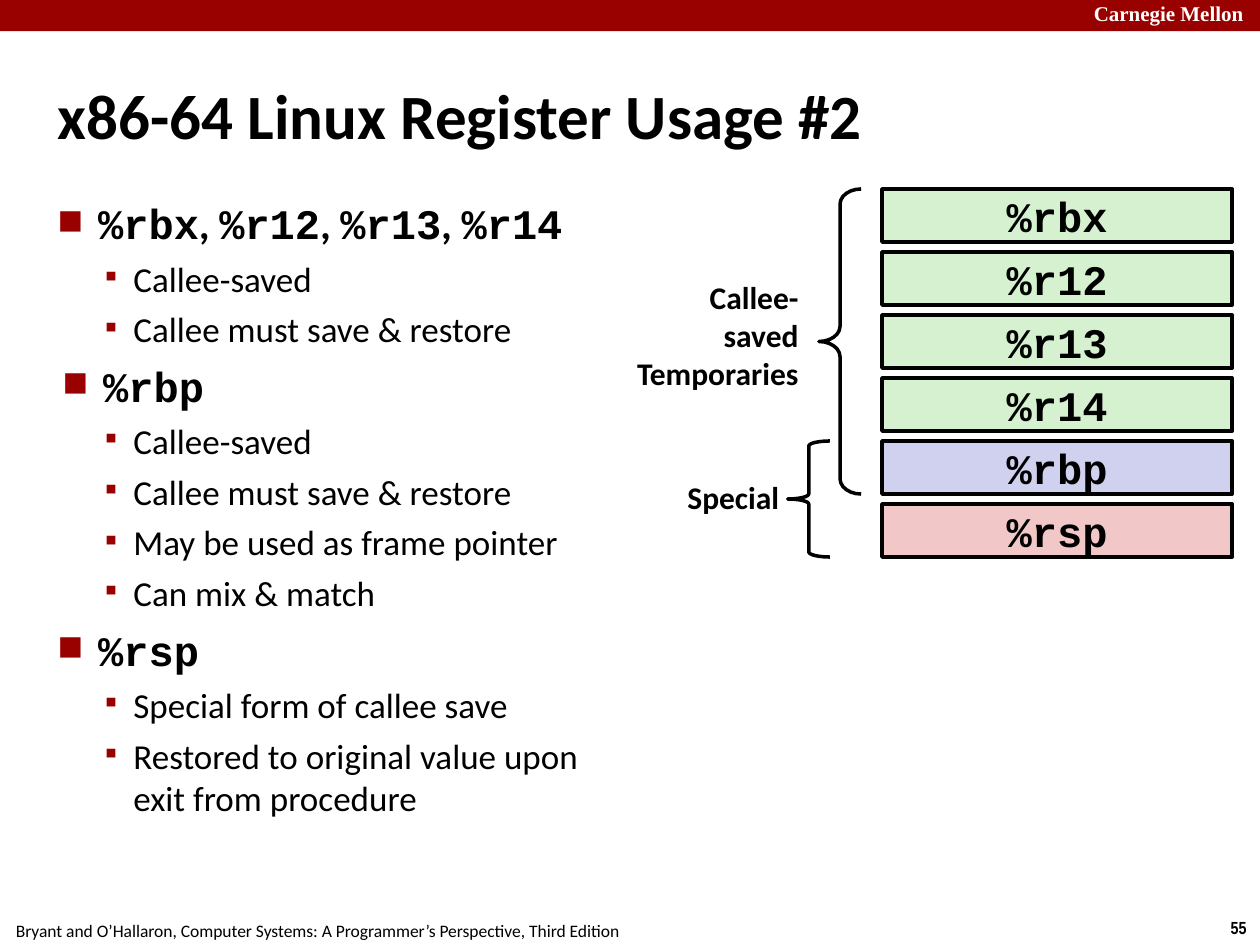
from lxml.etree import SubElement
from pptx import Presentation
from pptx.dml.color import RGBColor
from pptx.enum.shapes import MSO_SHAPE
from pptx.enum.text import MSO_ANCHOR, PP_ALIGN
from pptx.oxml.ns import qn
from pptx.util import Cm, Pt

COLORS = {
    "black": "000000",
    "white": "FFFFFF",
    "crimson": "990000",
    "green": "D5F1CF",
    "blue": "D0D0EF",
    "red": "F1C7C7",
}
CODE, BODY = "Courier New", "Calibri"

REGISTERS = [
    ("%rbx", "green"),
    ("%r12", "green"),
    ("%r13", "green"),
    ("%r14", "green"),
    ("%rbp", "blue"),
    ("%rsp", "red"),
]

# Register names, left margin of the heading in cm, points below it
TOPICS = [
    (["%rbx", "%r12", "%r13", "%r14"], 0.81,
     ["Callee-saved", "Callee must save & restore"]),
    (["%rbp"], 0.91,
     ["Callee-saved", "Callee must save & restore",
      "May be used as frame pointer", "Can mix & match"]),
    (["%rsp"], 0.81,
     ["Special form of callee save",
      "Restored to original value upon exit from procedure"]),
]


def rgb(name):
    return RGBColor.from_string(COLORS[name])


def style(font, size, face=BODY, bold=False, color="black"):
    font.size = Pt(size)
    font.name = face
    font.bold = bold
    font.color.rgb = rgb(color)


def set_insets(tf, horizontal, vertical):
    tf.margin_left = tf.margin_right = Cm(horizontal)
    tf.margin_top = tf.margin_bottom = Cm(vertical)


def add_text(slide, box, text, size, face=BODY, bold=True, color="black",
             align=PP_ALIGN.LEFT, insets=(0.1, 0.1), wrap=False):
    """Add a text box with one paragraph per line of text."""
    tf = slide.shapes.add_textbox(*map(Cm, box)).text_frame
    tf.word_wrap = wrap
    set_insets(tf, *insets)
    tf.text = text
    for p in tf.paragraphs:
        p.alignment = align
        for r in p.runs:
            style(r.font, size, face, bold, color)
    return tf


def add_rect(slide, box, fill):
    sp = slide.shapes.add_shape(MSO_SHAPE.RECTANGLE, *map(Cm, box))
    sp.shadow.inherit = False
    sp.fill.solid()
    sp.fill.fore_color.rgb = rgb(fill)
    sp.line.fill.background()
    return sp


def set_outline(sp):
    sp.line.color.rgb = rgb("black")
    sp.line.width = Pt(2)


def add_register(slide, top, name, fill):
    sp = add_rect(slide, (17.78, top, 7.06, 1.07), fill)
    set_outline(sp)
    tf = sp.text_frame
    set_insets(tf, 0, 0)
    tf.vertical_anchor = MSO_ANCHOR.MIDDLE
    p = tf.paragraphs[0]
    p.alignment = PP_ALIGN.CENTER
    r = p.add_run()
    r.text = name
    style(r.font, 24, CODE, True)


def add_brace(slide, box, curve):
    sp = slide.shapes.add_shape(MSO_SHAPE.LEFT_BRACE, *map(Cm, box))
    sp.shadow.inherit = False
    sp.fill.background()
    set_outline(sp)
    sp.adjustments[0] = curve


def set_bullet(p, char, margin, hanging):
    pPr = p._p.get_or_add_pPr()
    pPr.set("marL", str(Cm(margin)))
    pPr.set("indent", str(-Cm(hanging)))
    color = SubElement(pPr, qn("a:buClr"))
    SubElement(color, qn("a:srgbClr"), val=COLORS["crimson"])
    SubElement(pPr, qn("a:buFont"), typeface=CODE)
    SubElement(pPr, qn("a:buChar"), char=char)


def add_heading(p, names, margin):
    set_bullet(p, "■", margin, 0.81)
    for i, name in enumerate(names):
        if i:
            r = p.add_run()
            r.text = ", "
            style(r.font, 24, BODY, True)
        r = p.add_run()
        r.text = name
        style(r.font, 24, CODE, True)


def add_point(p, text):
    p.level = 1
    set_bullet(p, "▪", 1.52, 0.66)
    p.space_before = Pt(5)
    r = p.add_run()
    r.text = text
    style(r.font, 20)


def add_topics(slide):
    tf = slide.shapes.add_textbox(Cm(1.07), Cm(3.89), Cm(11.28), Cm(12.22)).text_frame
    tf.word_wrap = True
    set_insets(tf, 0.1, 0.1)
    for i, (names, margin, points) in enumerate(TOPICS):
        p = tf.add_paragraph() if i else tf.paragraphs[0]
        add_heading(p, names, margin)
        if i:
            p.space_before = Pt(6)
        for point in points:
            add_point(tf.add_paragraph(), point)


def add_frame(slide):
    """Add the top band, footer and page number."""
    add_rect(slide, (0, 0, 25.4, 0.63), "crimson")
    add_text(slide, (21.95, -0.08, 3.66, 0.71), "Carnegie Mellon", 12,
             "Times New Roman", color="white")
    add_text(slide, (-0.05, 18.42, 12.9, 0.69),
             "Bryant and O’Hallaron, Computer Systems: "
             "A Programmer’s Perspective, Third Edition",
             10, bold=False, align=PP_ALIGN.CENTER, insets=(0.25, 0.13))
    add_text(slide, (24.54, 18.36, 0.86, 0.69), "55", 10, "Arial Narrow",
             align=PP_ALIGN.CENTER, insets=(0.25, 0.13))


def main():
    prs = Presentation()
    prs.slide_width, prs.slide_height = Cm(25.4), Cm(19.05)
    slide = prs.slides.add_slide(prs.slide_layouts[6])

    add_frame(slide)
    title = add_text(slide, (1.07, 0.71, 16.71, 3.18),
                     "x86-64 Linux Register Usage #2", 36, wrap=True)
    title.vertical_anchor = MSO_ANCHOR.MIDDLE
    add_topics(slide)

    for i, (name, fill) in enumerate(REGISTERS):
        add_register(slide, 3.81 + 1.27 * i, name, fill)
    add_brace(slide, (16.51, 3.81, 0.85, 6.15), 0.36)
    add_brace(slide, (15.88, 8.89, 0.85, 2.34), 0.12)
    add_text(slide, (12.73, 5.51, 3.47, 1.75), "Callee-saved\nTemporaries", 18,
             align=PP_ALIGN.RIGHT, wrap=True)
    add_text(slide, (13.7, 9.53, 2.11, 0.99), "Special", 18,
             align=PP_ALIGN.RIGHT)

    prs.save("out.pptx")


if __name__ == "__main__":
    main()
